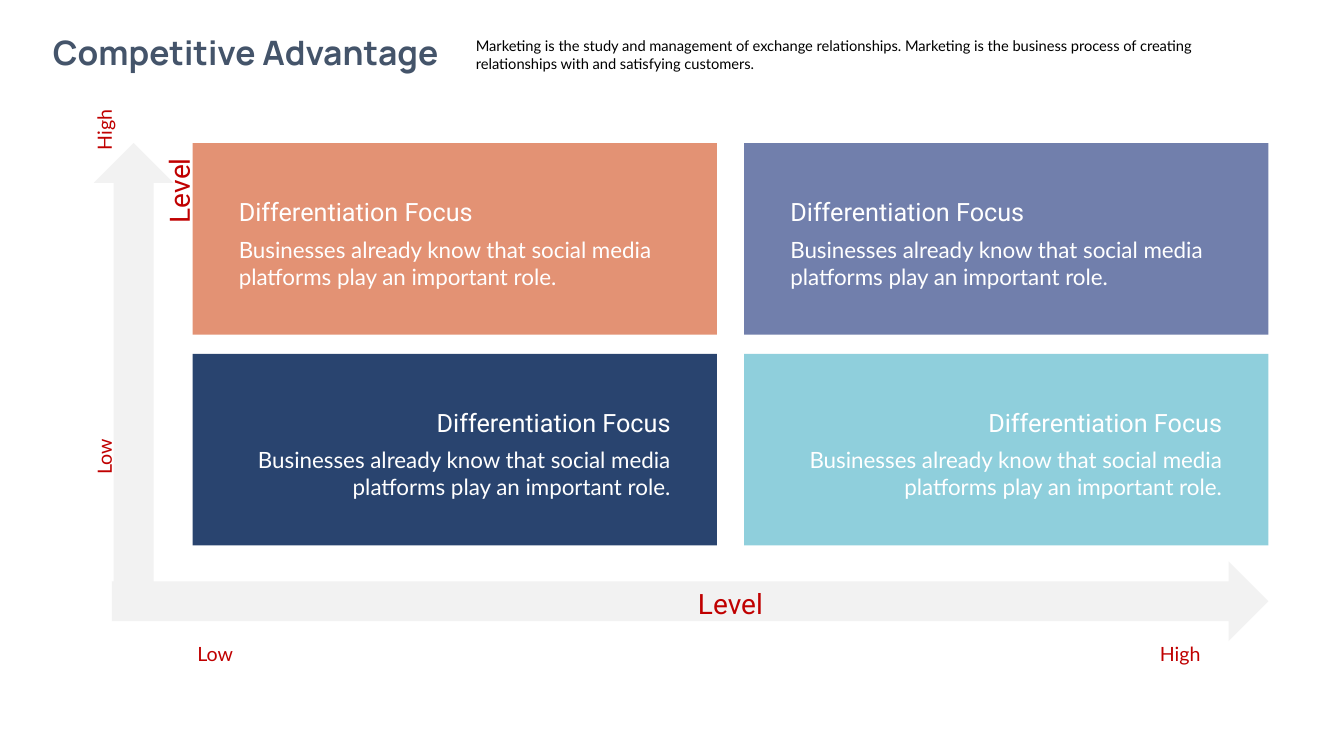
from dataclasses import dataclass
from typing import NamedTuple

from pptx import Presentation
from pptx.dml.color import RGBColor
from pptx.enum.shapes import MSO_SHAPE
from pptx.enum.text import MSO_ANCHOR, MSO_AUTO_SIZE, PP_ALIGN
from pptx.oxml.ns import qn
from pptx.util import Inches, Pt

ROUND_RECT, UP_ARROW = MSO_SHAPE.ROUNDED_RECTANGLE, MSO_SHAPE.UP_ARROW
LEFT, CENTER, RIGHT = PP_ALIGN.LEFT, PP_ALIGN.CENTER, PP_ALIGN.RIGHT
TOP, NO_FIT = MSO_ANCHOR.TOP, MSO_AUTO_SIZE.NONE
WIDTH, HEIGHT = Inches(13.33), Inches(7.5)


@dataclass(frozen=True)
class Theme:
    title_color: str = "44546A"
    text: str = "000000"
    white: str = "FFFFFF"
    axis: str = "F2F2F2"
    label: str = "C00000"
    coral: str = "E39274"
    violet: str = "717FAC"
    navy: str = "29446F"
    aqua: str = "8FCFDC"
    title_font: str = "Manrope"
    heading_font: str = "Roboto"
    body_font: str = "Lato"
    title_size: float = 24
    intro_size: float = 10.5
    heading_size: float = 18
    body_size: float = 16
    axis_size: float = 20
    end_size: float = 14


class Box(NamedTuple):
    """Shares of the slide's width and height, in percent."""
    x: float
    y: float
    w: float
    h: float

    def emu(self) -> tuple[int, ...]:
        sides = (WIDTH, HEIGHT, WIDTH, HEIGHT)
        return tuple(round(share * side / 100) for share, side in zip(self, sides))


class Card(NamedTuple):
    col: int
    row: int
    color: str
    align: PP_ALIGN


class Label(NamedTuple):
    text: str
    box: Box
    font: str
    size: float
    rotation: int = 0


class Arrow(NamedTuple):
    box: Box
    rotation: int = 0


T = Theme()
HEADING = "Differentiation Focus"
BODY = "Businesses already know that social media platforms play an important role."
INTRO = ("Marketing is the study and management of exchange relationships. "
         "Marketing is the business process of creating relationships with "
         "and satisfying customers.")
GRID = Box(14.33, 18.93, 39.01, 25.33)
COL_STEP, ROW_STEP = 41.04, 27.87
INSET, HEADING_DROP, BODY_DROP = 2.7, 6.4, 11.6
HEADING_W, HEADING_H, BODY_W, BODY_H = 23.63, 5.33, 33.61, 8.53

CARDS = [
    Card(0, 1, T.navy, RIGHT),
    Card(1, 1, T.aqua, RIGHT),
    Card(0, 0, T.coral, LEFT),
    Card(1, 0, T.violet, LEFT),
]
ARROWS = [
    Arrow(Box(6.98, 18.93, 5.93, 61.33)),
    Arrow(Box(48.39, 3.07, 5.93, 152.93), 90),
]
LABELS = [
    Label("Level", Box(7.28, 22.27, 12.08, 5.87), T.heading_font, T.axis_size, 270),
    Label("Level", Box(48.31, 76.93, 12.08, 5.87), T.heading_font, T.axis_size),
    Label("High", Box(4.8, 14.93, 5.93, 4.53), T.body_font, T.end_size, 270),
    Label("Low", Box(4.8, 58.13, 5.93, 4.53), T.body_font, T.end_size, 270),
    Label("Low", Box(12.9, 84.27, 6.23, 4.53), T.body_font, T.end_size),
    Label("High", Box(84.7, 84.27, 6.23, 4.53), T.body_font, T.end_size),
]


def write(sp, text: str, *, font: str, size: float, color: str,
          align: PP_ALIGN = LEFT, bold: bool = False, wrap: bool = True) -> None:
    tf = sp.text_frame
    tf.word_wrap, tf.auto_size, tf.vertical_anchor = wrap, NO_FIT, TOP
    p = tf.paragraphs[0]
    p.alignment, p.space_before = align, Pt(0)
    r = p.add_run()
    r.text = text
    r.font.name, r.font.size, r.font.bold = font, Pt(size), bold
    r.font.color.rgb = RGBColor.from_string(color)


def place(sp, box: Box) -> None:
    sp.left, sp.top, sp.width, sp.height = box.emu()


def add_block(s, kind: MSO_SHAPE, box: Box, color: str):
    sp = s.shapes.add_shape(kind, *box.emu())
    sp.shadow.inherit = False
    sp.fill.solid()
    sp.fill.fore_color.rgb = RGBColor.from_string(color)
    sp.line.fill.background()
    return sp


def add_card(s, card: Card) -> None:
    x, y = GRID.x + card.col * COL_STEP, GRID.y + card.row * ROW_STEP
    add_block(s, ROUND_RECT, Box(x, y, GRID.w, GRID.h), card.color).adjustments[0] = 0
    text_x = x + INSET
    heading_x = text_x + (BODY_W - HEADING_W if card.align == RIGHT else 0)
    heading = s.shapes.add_textbox(
        *Box(heading_x, y + HEADING_DROP, HEADING_W, HEADING_H).emu())
    write(heading, HEADING, font=T.heading_font, size=T.heading_size,
          color=T.white, align=card.align)
    body = s.shapes.add_textbox(*Box(text_x, y + BODY_DROP, BODY_W, BODY_H).emu())
    write(body, BODY, font=T.body_font, size=T.body_size,
          color=T.white, align=card.align)


def add_label(s, label: Label) -> None:
    sp = s.shapes.add_textbox(*label.box.emu())
    sp.rotation = label.rotation
    write(sp, label.text, font=label.font, size=label.size,
          color=T.label, align=CENTER)


def add_header(s) -> None:
    title, intro = s.shapes.title, s.placeholders[1]
    place(title, Box(1.88, 3.6, 32.78, 6.67))
    write(title, "Competitive Advantage", font=T.title_font, size=T.title_size,
          color=T.title_color, align=CENTER, bold=True, wrap=False)
    place(intro, Box(34.66, 4.27, 57.91, 6))
    pPr = intro.text_frame.paragraphs[0]._p.get_or_add_pPr()
    pPr.set("marL", "0")
    pPr.set("indent", "0")
    pPr.append(pPr.makeelement(qn("a:buNone"), {}))
    write(intro, INTRO, font=T.body_font, size=T.intro_size, color=T.text)


def main() -> None:
    prs = Presentation()
    prs.slide_width, prs.slide_height = WIDTH, HEIGHT
    s = prs.slides.add_slide(prs.slide_layouts[1])
    add_header(s)
    for card in CARDS:
        add_card(s, card)
    for arrow in ARROWS:
        add_block(s, UP_ARROW, arrow.box, T.axis).rotation = arrow.rotation
    for label in LABELS:
        add_label(s, label)
    prs.save("out.pptx")


if __name__ == "__main__":
    main()
